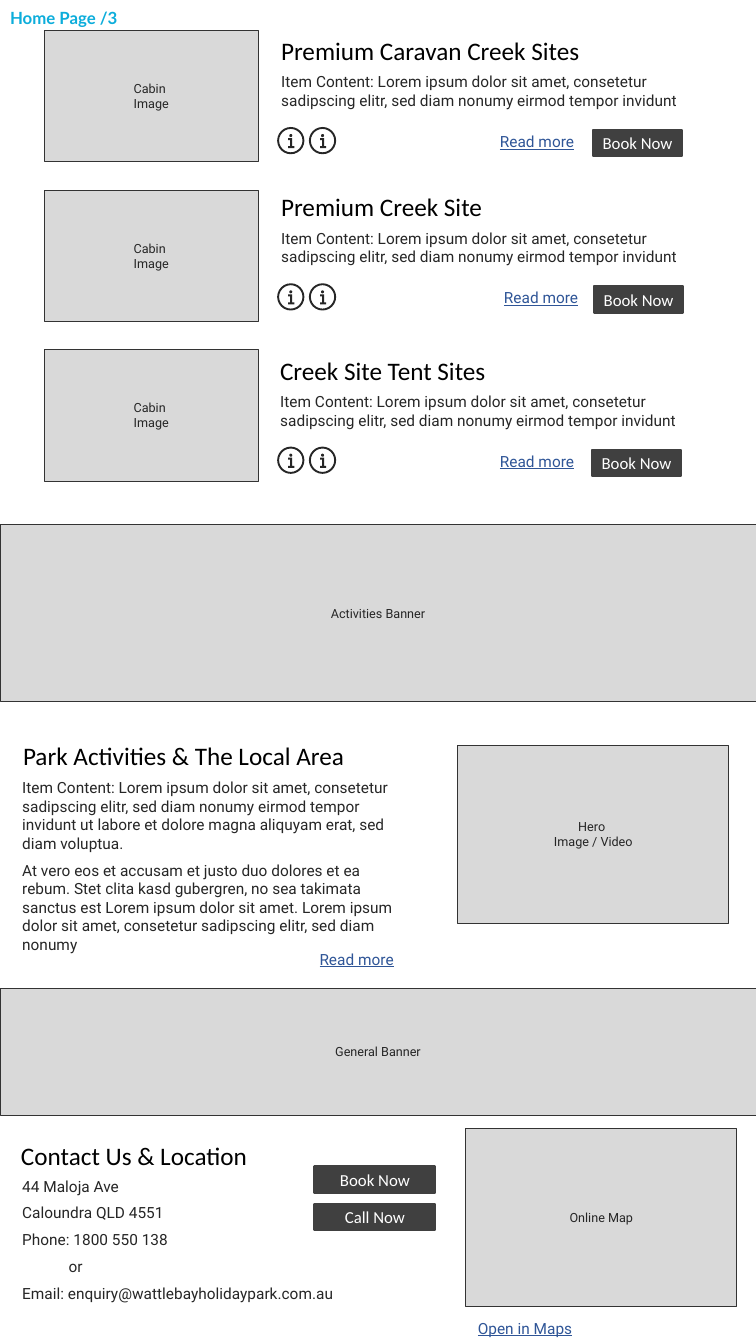
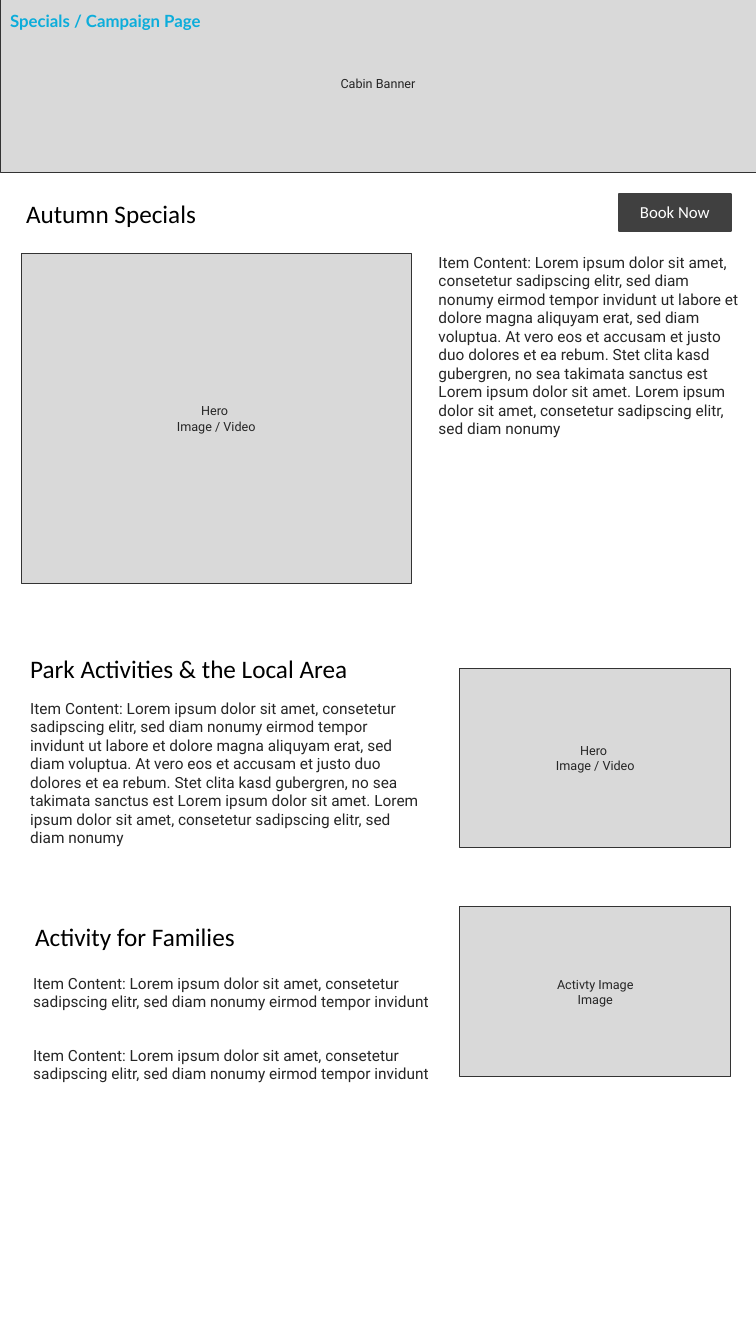
"""Build two wireframe pages of a holiday park site."""
from pptx import Presentation
from pptx.dml.color import RGBColor
from pptx.enum.shapes import MSO_SHAPE
from pptx.enum.text import MSO_ANCHOR, MSO_AUTO_SIZE, PP_ALIGN
from pptx.util import Inches, Pt

HUES = {"pale": "D9D9D9", "edge": "333333", "text": "262626", "dark": "404040",
        "black": "000000", "white": "FFFFFF", "link": "2F5597", "tag": "0CADDB"}

STYLES = {
    "tag": dict(font="Lato", size=12, hue="tag", bold=True, pad=(0.08, 0.04)),
    "title": dict(font="Calibri", size=18, hue="black", pad=(0.1, 0.05)),
    "body": dict(font="Roboto", size=11, hue="text", after=6),
    "spread": dict(font="Roboto", size=11, hue="text", after=25),
    "link": dict(font="Roboto", size=11, hue="link", under=True, after=6),
    "frame": dict(font="Roboto", size=9, hue="text", pad=(0.1, 0.05),
                  fill="pale", line=("edge", 0.5)),
    "button": dict(font="Calibri", size=12, hue="white", pad=(0.05, 0.05),
                   fill="dark", line=("dark", 1.5)),
}

LEAD = ("Item Content: Lorem ipsum dolor sit amet, consetetur sadipscing elitr, "
        "sed diam nonumy eirmod tempor invidunt")
FULL = LEAD + " ut labore et dolore magna aliquyam erat, sed diam voluptua."
VERO = ("At vero eos et accusam et justo duo dolores et ea rebum. Stet clita kasd "
        "gubergren, no sea takimata sanctus est Lorem ipsum dolor sit amet. Lorem "
        "ipsum dolor sit amet, consetetur sadipscing elitr, sed diam nonumy")
LONG = f"{FULL} {VERO}"
HERO = ["Hero ", "Image / Video"]
CABIN = ["Cabin ", "Image"]
INSET = {"or": 0.46}

SITES = [
    ("Premium Caravan Creek Sites", 2.69, 0.3, 4.96, 5.88),
    ("Premium Creek Site", 2.69, 1.85, 5, 5.89),
    ("Creek Site Tent Sites", 2.68, 3.47, 4.96, 5.87),
]

HOME = [
    ("frame", (0, 5.2, 7.5, 1.76), ["Activities Banner"]),
    ("title", (0.13, 7.29, 4.19, 0.4), ["Park Activities & The Local Area"]),
    ("body", (0.22, 7.72, 3.79, 1.75), [FULL, VERO]),
    ("link", (3.17, 9.42, 0.93, 0.19), ["Read more"]),
    ("frame", (4.54, 7.39, 2.69, 1.77), HERO),
    ("frame", (0, 9.8, 7.5, 1.26), ["General Banner"]),
    ("title", (0.11, 11.26, 2.57, 0.4), ["Contact Us & Location"]),
    ("body", (0.22, 11.67, 3.79, 1.26),
     ["44 Maloja Ave", "Caloundra QLD 4551", "Phone: 1800 550 138", "or",
      "Email: enquiry@wattlebayholidaypark.com.au"]),
    ("button", (3.12, 11.57, 1.2, 0.26), ["Book Now"]),
    ("button", (3.12, 11.94, 1.2, 0.26), ["Call Now"]),
    ("frame", (4.62, 11.19, 2.69, 1.77), ["Online Map"]),
    ("link", (4.74, 13.08, 1.49, 0.19), ["Open in Maps"]),
    ("tag", (0.02, 0.04, 2.76, 0.27), ["Home Page /3"]),
]

SPECIALS = [
    ("frame", (0, -0.05, 7.5, 1.76), ["Cabin Banner"]),
    ("title", (0.16, 1.92, 4.59, 0.4), ["Autumn Specials"]),
    ("button", (6.14, 1.92, 1.11, 0.37), ["Book Now"]),
    ("frame", (0.21, 2.51, 3.87, 3.28), HERO),
    ("body", (4.35, 2.51, 3.02, 1.85), [LONG]),
    ("title", (0.2, 6.43, 4.59, 0.4), ["Park Activities & the Local Area"]),
    ("body", (0.3, 6.93, 3.89, 1.48), [LONG]),
    ("frame", (4.56, 6.63, 2.69, 1.77), HERO),
    ("title", (0.25, 9.09, 2.91, 0.4), ["Activity for Families"]),
    ("spread", (0.33, 9.66, 4.23, 1.36), [LEAD, LEAD]),
    ("frame", (4.56, 8.99, 2.69, 1.69), ["Activty Image", "Image"]),
    ("tag", (0.02, 0.07, 2.76, 0.27), ["Specials / Campaign Page"]),
]

STEM = [(0, 0), (0.04, 0), (0.04, 0.08), (0.06, 0.08), (0.06, 0.1),
        (0, 0.1), (0, 0.08), (0.02, 0.08), (0.02, 0.02), (0, 0.02)]


def tint(name):
    return RGBColor.from_string(HUES[name])


def paint(shape, hue):
    shape.shadow.inherit = False
    shape.fill.solid()
    shape.fill.fore_color.rgb = tint(hue)
    shape.line.fill.background()


def write(frame, lines, style):
    frame.word_wrap = True
    wide, high = style.get("pad", (0, 0))
    frame.margin_left = frame.margin_right = Inches(wide)
    frame.margin_top = frame.margin_bottom = Inches(high)
    for num, line in enumerate(lines):
        para = frame.add_paragraph() if num else frame.paragraphs[0]
        para.alignment = PP_ALIGN.CENTER if "fill" in style else PP_ALIGN.LEFT
        para.space_after = Pt(style.get("after", 0))
        if line in INSET:
            para._p.get_or_add_pPr().set("marL", str(Inches(INSET[line])))
        run = para.add_run()
        run.text = line
        font = run.font
        font.name, font.size = style["font"], Pt(style["size"])
        font.bold = style.get("bold", False)
        font.underline = style.get("under", False)
        font.color.rgb = tint(style["hue"])


def place(slide, kind, spot, lines):
    style = STYLES[kind]
    box = [Inches(n) for n in spot]
    if "fill" in style:
        shape = slide.shapes.add_shape(MSO_SHAPE.RECTANGLE, *box)
        paint(shape, style["fill"])
        hue, width = style["line"]
        shape.line.color.rgb = tint(hue)
        shape.line.width = Pt(width)
        shape.text_frame.vertical_anchor = MSO_ANCHOR.MIDDLE
    else:
        shape = slide.shapes.add_textbox(*box)
        shape.text_frame.auto_size = MSO_AUTO_SIZE.SHAPE_TO_FIT_TEXT
    write(shape.text_frame, lines, style)


def icon(slide, left, top):
    group = slide.shapes.add_group_shape().shapes
    ring = group.add_shape(MSO_SHAPE.DONUT, Inches(left), Inches(top),
                           Inches(0.27), Inches(0.27))
    ring.adjustments[0] = 0.07
    dot = group.add_shape(MSO_SHAPE.OVAL, Inches(left + 0.12), Inches(top + 0.07),
                          Inches(0.03), Inches(0.03))
    spots = [(Inches(left + 0.11 + x), Inches(top + 0.11 + y)) for x, y in STEM]
    pen = group.build_freeform(*spots[0])
    pen.add_line_segments(spots[1:], close=True)
    for part in (ring, dot, pen.convert_to_shape()):
        paint(part, "text")


def site(slide, num, name, left, top, link, book):
    place(slide, "frame", (0.44, 0.3 + 1.585 * num, 2.12, 1.3), CABIN)
    place(slide, "title", (left, top, 3.84, 0.4), [name])
    place(slide, "body", (left + 0.1, top + 0.42, 4.28, 0.37), [LEAD])
    for col in range(2):
        icon(slide, 2.75 + 0.315 * col, top + 0.96)
    place(slide, "link", (link, top + 1.01, 0.93, 0.19), ["Read more"])
    place(slide, "button", (book, top + 0.99, 0.89, 0.26), ["Book Now"])


def main():
    deck = Presentation()
    deck.slide_width, deck.slide_height = Inches(7.5), Inches(13.33)
    for sites, parts in ((SITES, HOME), ([], SPECIALS)):
        slide = deck.slides.add_slide(deck.slide_layouts[6])
        for num, row in enumerate(sites):
            site(slide, num, *row)
        for part in parts:
            place(slide, *part)
    deck.save("out.pptx")


if __name__ == "__main__":
    main()
